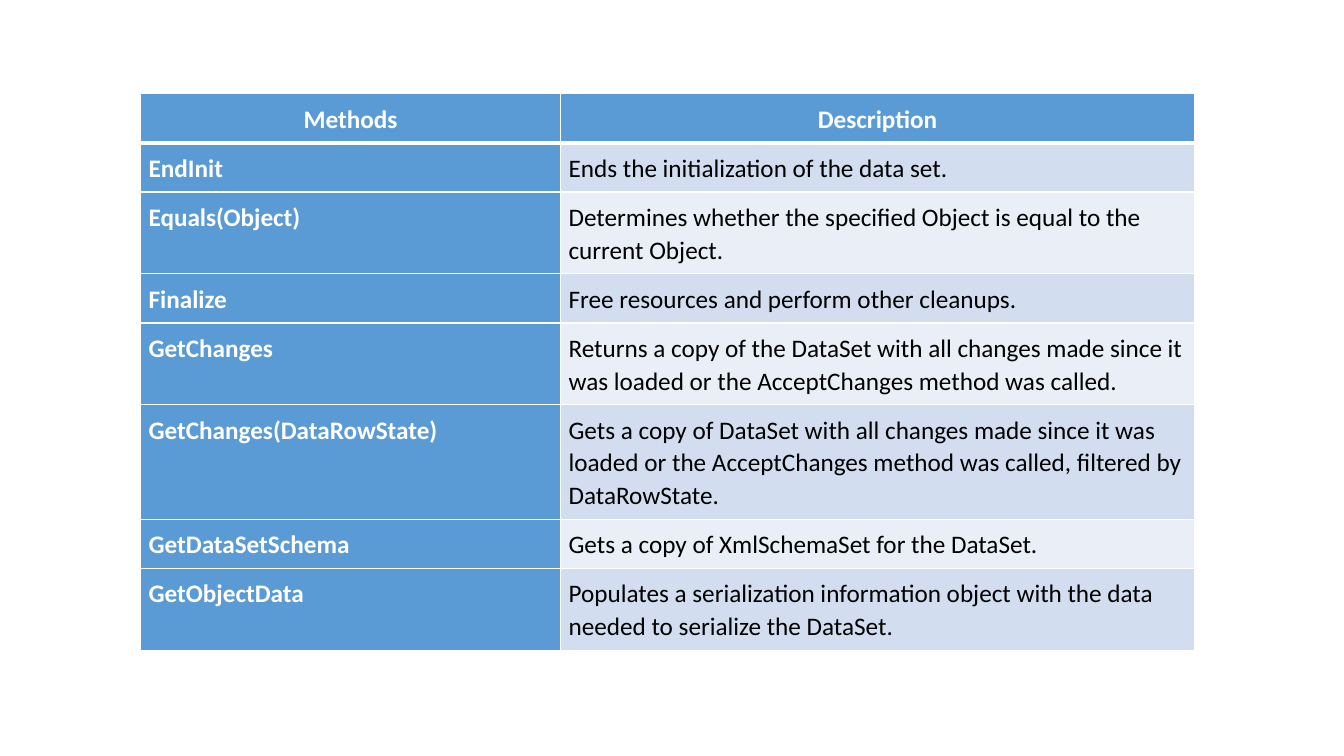
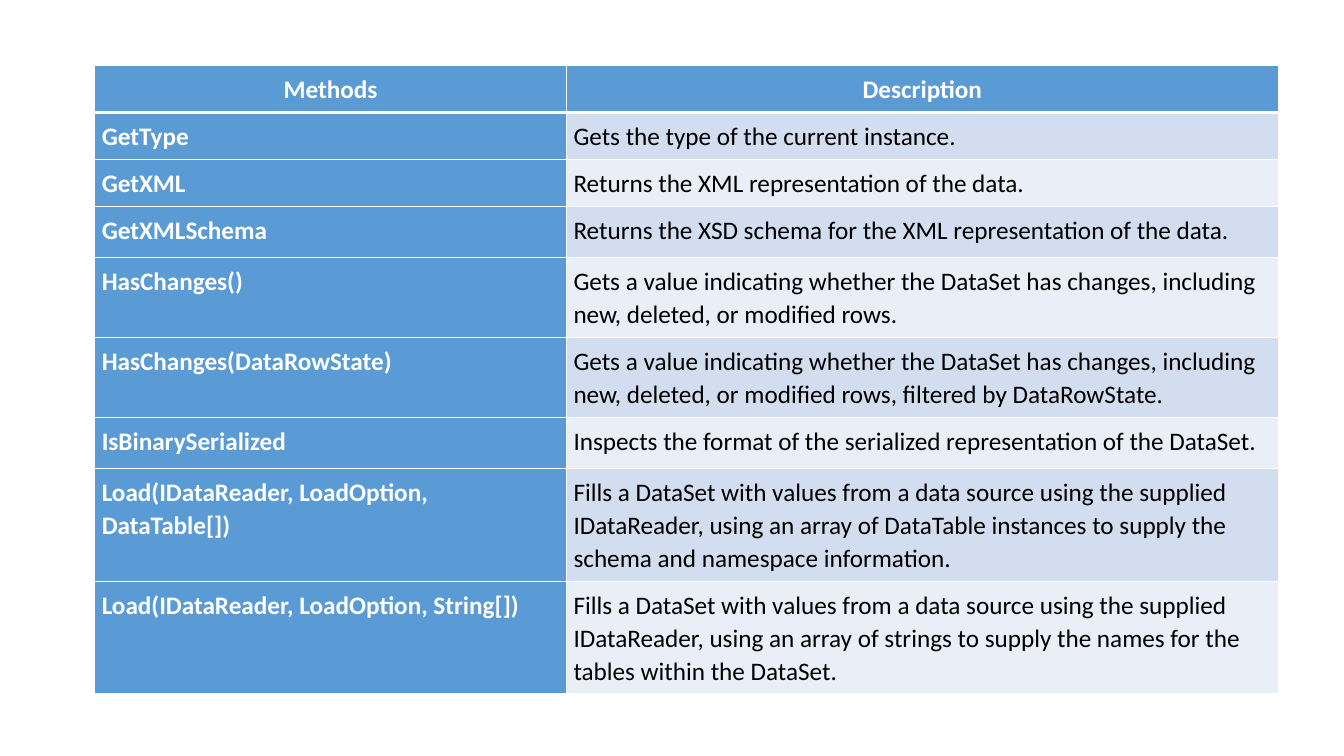
from dataclasses import dataclass

from lxml.etree import SubElement
from pptx import Presentation
from pptx.dml.color import RGBColor as RGB
from pptx.enum.text import PP_ALIGN as ALIGN
from pptx.oxml.ns import qn
from pptx.util import Pt


@dataclass(frozen=True)
class Theme:
    accent: str = "5B9BD5"
    bands: tuple = ("D2DEEF", "EAEFF7")
    light: str = "FFFFFF"
    dark: str = "000000"
    font: str = "Calibri"
    size: float = 18
    leading: float = 1.07
    after: float = 15
    line: float = 1
    header_line: float = 3


THEME = Theme()
HEADER = ("Methods", "Description")


def set_all(target, values):
    for name, value in values.items():
        setattr(target, name, value)


def draw_borders(cell, top, bottom):
    tc_pr = cell._tc.get_or_add_tcPr()
    widths = {"lnL": THEME.line, "lnR": THEME.line, "lnT": top, "lnB": bottom}
    for tag, width in widths.items():
        ln = SubElement(tc_pr, qn(f"a:{tag}"), w=str(Pt(width)))
        fill = SubElement(ln, qn("a:solidFill"))
        SubElement(fill, qn("a:srgbClr"), val=THEME.light)


def fill_cell(cell, text, row, col, inset):
    is_header = row == 0
    is_strong = is_header or col == 0
    draw_borders(
        cell,
        THEME.header_line if row == 1 else THEME.line,
        THEME.header_line if is_header else THEME.line,
    )
    cell.fill.solid()
    color = THEME.accent if is_strong else THEME.bands[(row - 1) % 2]
    cell.fill.fore_color.rgb = RGB.from_string(color)
    sides = ("left", "top", "right", "bottom")
    set_all(cell, {f"margin_{side}": Pt(inset) for side in sides})
    p = cell.text_frame.paragraphs[0]
    set_all(p, {
        "alignment": ALIGN.CENTER if is_header else ALIGN.LEFT,
        "line_spacing": THEME.leading,
        "space_after": Pt(THEME.after),
    })
    r = p.add_run()
    r.text = text
    set_all(r.font, {"name": THEME.font, "size": Pt(THEME.size), "bold": is_strong})
    r.font.color.rgb = RGB.from_string(THEME.light if is_strong else THEME.dark)


def add_method_table(s, left, top, widths, heights, inset, methods):
    rows = [HEADER, *methods]
    box = [Pt(v) for v in (left, top, sum(widths), sum(heights))]
    table = s.shapes.add_table(len(rows), len(widths), *box).table
    table.horz_banding = False
    for column, width in zip(table.columns, widths):
        column.width = Pt(width)
    for i, (height, texts) in enumerate(zip(heights, rows)):
        table.rows[i].height = Pt(height)
        for j, text in enumerate(texts):
            fill_cell(table.cell(i, j), text, i, j, inset)


TABLES = [
    dict(
        left=100.4, top=67, widths=(300, 452.9), inset=5.76,
        heights=(35, 35, 58.4, 35, 58.4, 81.6, 35, 58.4),
        methods=[
            ("EndInit", "Ends the initialization of the data set."),
            ("Equals(Object)",
             "Determines whether the specified Object is equal to the current Object."),
            ("Finalize", "Free resources and perform other cleanups."),
            ("GetChanges",
             "Returns a copy of the DataSet with all changes made since it was loaded "
             "or the AcceptChanges method was called."),
            ("GetChanges(DataRowState)",
             "Gets a copy of DataSet with all changes made since it was loaded or the "
             "AcceptChanges method was called, filtered by DataRowState."),
            ("GetDataSetSchema", "Gets a copy of XmlSchemaSet for the DataSet."),
            ("GetObjectData",
             "Populates a serialization information object with the data needed to "
             "serialize the DataSet."),
        ],
    ),
    dict(
        left=67.7, top=46.8, widths=(337, 508.3), inset=5,
        heights=(33.2, 33.2, 33.2, 36.7, 56.4, 56.4, 36.7, 79.7, 79.7),
        methods=[
            ("GetType", "Gets the type of the current instance."),
            ("GetXML", "Returns the XML representation of the data."),
            ("GetXMLSchema",
             "Returns the XSD schema for the XML representation of the data."),
            ("HasChanges()",
             "Gets a value indicating whether the DataSet has changes, including new, "
             "deleted, or modified rows."),
            ("HasChanges(DataRowState)",
             "Gets a value indicating whether the DataSet has changes, including new, "
             "deleted, or modified rows, filtered by DataRowState."),
            ("IsBinarySerialized",
             "Inspects the format of the serialized representation of the DataSet."),
            ("Load(IDataReader, LoadOption, DataTable[])",
             "Fills a DataSet with values from a data source using the supplied "
             "IDataReader, using an array of DataTable instances to supply the schema "
             "and namespace information."),
            ("Load(IDataReader, LoadOption, String[])",
             "Fills a DataSet with values from a data source using the supplied "
             "IDataReader, using an array of strings to supply the names for the "
             "tables within the DataSet."),
        ],
    ),
]

prs = Presentation()
set_all(prs, {"slide_width": Pt(960), "slide_height": Pt(540)})
for table_spec in TABLES:
    add_method_table(prs.slides.add_slide(prs.slide_layouts[6]), **table_spec)
prs.save("out.pptx")
